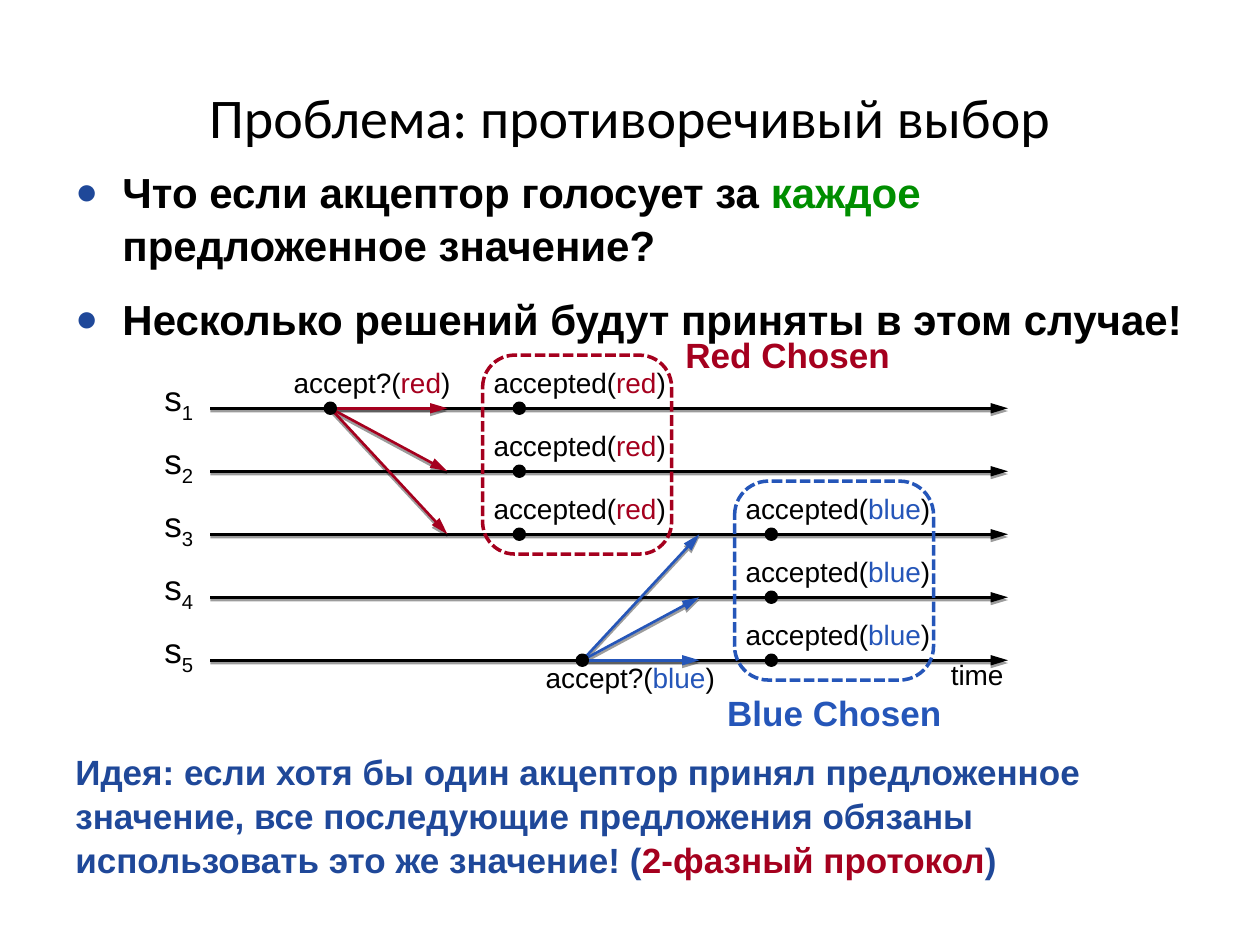
import dataclasses

import lxml.etree
import pptx
import pptx.dml.color
import pptx.enum.dml
import pptx.enum.shapes
import pptx.enum.text
import pptx.oxml.ns
import pptx.util

Cm = pptx.util.Cm
Pt = pptx.util.Pt
ALIGN = pptx.enum.text.PP_ALIGN
SHAPES = pptx.enum.shapes.MSO_SHAPE


@dataclasses.dataclass(frozen=True)
class Theme:
    """Colours, fonts and type sizes of the slide."""
    black: str = "000000"
    red: str = "A5001E"
    blue: str = "2556B9"
    navy: str = "1F4899"
    green: str = "008E00"
    heading_font: str = "Calibri"
    body_font: str = "Arial"
    title: int = 32
    bullet: int = 24
    strong: int = 20
    label: int = 16


THEME = Theme()
FIRST_ROW, ROW_STEP, ROW_COUNT = 8.23, 1.27, 5


def rgb(color):
    """Turn a hex string into a colour."""
    return pptx.dml.color.RGBColor.from_string(color)


def row_y(server):
    """Height in centimetres of a server's time line."""
    return FIRST_ROW + (server - 1) * ROW_STEP


def add_xml(parent, tag, **attributes):
    """Append a DrawingML element and return it."""
    return lxml.etree.SubElement(parent, pptx.oxml.ns.qn(f"a:{tag}"), attributes)


def write(paragraph, runs, size, bold=False, font=THEME.body_font):
    """Fill a paragraph with (text, colour) runs in one font."""
    paragraph.font.name = font
    paragraph.font.size = Pt(size)
    paragraph.font.bold = bold
    for text, color in runs:
        run = paragraph.add_run()
        run.text = text
        run.font.color.rgb = rgb(color)
    return paragraph


def clear_margins(frame):
    """Remove the inner margins of a text frame and let it wrap."""
    frame.word_wrap = True
    frame.margin_left = frame.margin_right = 0
    frame.margin_top = frame.margin_bottom = 0


def add_text(slide, left, top, width, height, runs, size, bold=False, align=ALIGN.LEFT):
    """Add a one-paragraph text box and return its paragraph."""
    frame = slide.shapes.add_textbox(Cm(left), Cm(top), Cm(width), Cm(height)).text_frame
    clear_margins(frame)
    paragraph = write(frame.paragraphs[0], runs, size, bold)
    paragraph.alignment = align
    return paragraph


def add_arrow(slide, x1, y1, x2, y2, color):
    """Add an arrow with a soft shadow below it."""
    arrow = slide.shapes.add_connector(
        pptx.enum.shapes.MSO_CONNECTOR.STRAIGHT, Cm(x1), Cm(y1), Cm(x2), Cm(y2))
    arrow.line.color.rgb = rgb(color)
    arrow.line.width = Pt(1.5)
    properties = arrow.line._get_or_add_ln().getparent()
    add_xml(arrow.line._get_or_add_ln(), "tailEnd", type="triangle", w="med", len="lg")
    shadow = add_xml(add_xml(properties, "effectLst"), "outerShdw",
                     dist=str(Pt(1.6)), dir="5400000", rotWithShape="0")
    add_xml(add_xml(shadow, "srgbClr", val=THEME.black), "alpha", val="38000")


def add_event(slide, x, server):
    """Mark an event on a server's time line."""
    dot = slide.shapes.add_shape(
        SHAPES.OVAL, Cm(x - 0.1), Cm(row_y(server) - 0.1), Cm(0.2), Cm(0.2))
    dot.shadow.inherit = False
    dot.fill.solid()
    dot.fill.fore_color.rgb = rgb(THEME.black)
    dot.line.color.rgb = rgb(THEME.black)
    dot.line.width = Pt(2)


def add_message(slide, left, top, verb, value, color):
    """Label an event with its call and coloured value."""
    runs = [(f"{verb}(", THEME.black), (value, color), (")", THEME.black)]
    add_text(slide, left, top, 4.9, 0.69, runs, THEME.label)


def add_quorum(slide, left, server, width, color):
    """Frame the three accepting servers with a dashed outline."""
    frame = slide.shapes.add_shape(
        SHAPES.ROUNDED_RECTANGLE, Cm(left), Cm(row_y(server) - 1.07), Cm(width), Cm(4.01))
    frame.adjustments[0] = 0.17
    frame.shadow.inherit = False
    frame.fill.background()
    frame.line.color.rgb = rgb(color)
    frame.line.width = Pt(2)
    frame.line.dash_style = pptx.enum.dml.MSO_LINE.SQUARE_DOT
    frame.line._get_or_add_ln().find(pptx.oxml.ns.qn("a:prstDash")).set("val", "sysDash")


def add_bullets(slide, bullets):
    """Add the bulleted statements under the title."""
    frame = slide.shapes.add_textbox(Cm(1.27), Cm(3.18), Cm(22.86), Cm(3.6)).text_frame
    frame.word_wrap = True
    for index, runs in enumerate(bullets):
        paragraph = frame.add_paragraph() if index else frame.paragraphs[0]
        properties = paragraph._p.get_or_add_pPr()
        properties.set("marL", str(Cm(0.95)))
        properties.set("indent", str(-Cm(0.95)))
        add_xml(add_xml(properties, "buClr"), "srgbClr", val=THEME.navy)
        add_xml(properties, "buSzPct", val="90000")
        add_xml(properties, "buFont", typeface=THEME.body_font)
        add_xml(properties, "buChar", char="●")
        paragraph.space_before = Pt(12)
        paragraph.line_spacing = 1.05
        write(paragraph, runs, THEME.bullet, bold=True)


def add_title(slide, text):
    """Place and format the title."""
    title = slide.shapes.title
    title.left, title.top, title.width, title.height = Cm(1.27), Cm(0.76), Cm(22.86), Cm(3.18)
    clear_margins(title.text_frame)
    title.text_frame.vertical_anchor = pptx.enum.text.MSO_ANCHOR.MIDDLE
    paragraph = title.text_frame.paragraphs[0]
    paragraph.alignment = ALIGN.CENTER
    write(paragraph, [(text, THEME.black)], THEME.title, font=THEME.heading_font)


def add_time_lines(slide):
    """Draw the named time line of each server."""
    for server in range(1, ROW_COUNT + 1):
        add_arrow(slide, 4.24, row_y(server), 20.32, row_y(server), THEME.black)
        runs = [("s", THEME.black), (str(server), THEME.black)]
        name = add_text(slide, 2.97, row_y(server) - 0.64, 1.27, 0.97, runs,
                        THEME.strong, align=ALIGN.CENTER)
        name.runs[1].font._element.set("baseline", "-25000")
    add_text(slide, 18.85, 13.26, 1.7, 0.69, [("time", THEME.black)], THEME.label,
             align=ALIGN.CENTER)


def add_round(slide, value, color, proposer, start, first, label_top, quorum_width):
    """Draw one proposal, its messages and the servers that accept it."""
    accepted = start + 3.81
    for server in range(first, first + 3):
        add_arrow(slide, start, row_y(proposer), start + 2.36, row_y(server), color)
        add_message(slide, accepted - 0.52, row_y(server) - 0.86, "accepted", value, color)
        add_event(slide, accepted, server)
    add_event(slide, start, proposer)
    add_message(slide, start - 0.74, label_top, "accept?", value, color)
    add_quorum(slide, accepted - 0.74, first, quorum_width, color)


def main():
    """Build and save the slide."""
    deck = pptx.Presentation()
    deck.slide_width, deck.slide_height = Cm(25.4), Cm(19.05)
    slide = deck.slides.add_slide(deck.slide_layouts[5])
    add_title(slide, "Проблема: противоречивый выбор")
    add_bullets(slide, [
        [("Что если акцептор голосует за ", THEME.black), ("каждое ", THEME.green),
         ("предложенное значение?", THEME.black)],
        [("Несколько решений будут приняты в этом случае!", THEME.black)],
    ])
    add_time_lines(slide)
    add_round(slide, "red", THEME.red, 1, 6.66, 1, 7.37, 3.81)
    add_round(slide, "blue", THEME.blue, 5, 11.74, 3, 13.31, 4.01)
    add_text(slide, 13.76, 6.73, 4.24, 0.84, [("Red Chosen", THEME.red)],
             THEME.strong, True, ALIGN.CENTER)
    add_text(slide, 14.18, 13.94, 5.28, 0.84, [("Blue Chosen", THEME.blue)],
             THEME.strong, True, ALIGN.CENTER)
    idea = add_text(slide, 1.52, 15.09, 22.35, 2.54, [
        ("Идея: если хотя бы один акцептор принял предложенное значение, все "
         "последующие предложения обязаны использовать это же значение! (", THEME.navy),
        ("2-фазный протокол", THEME.red), (")", THEME.navy)], THEME.strong, True)
    idea.line_spacing = 1.05
    deck.save("out.pptx")


if __name__ == "__main__":
    main()
